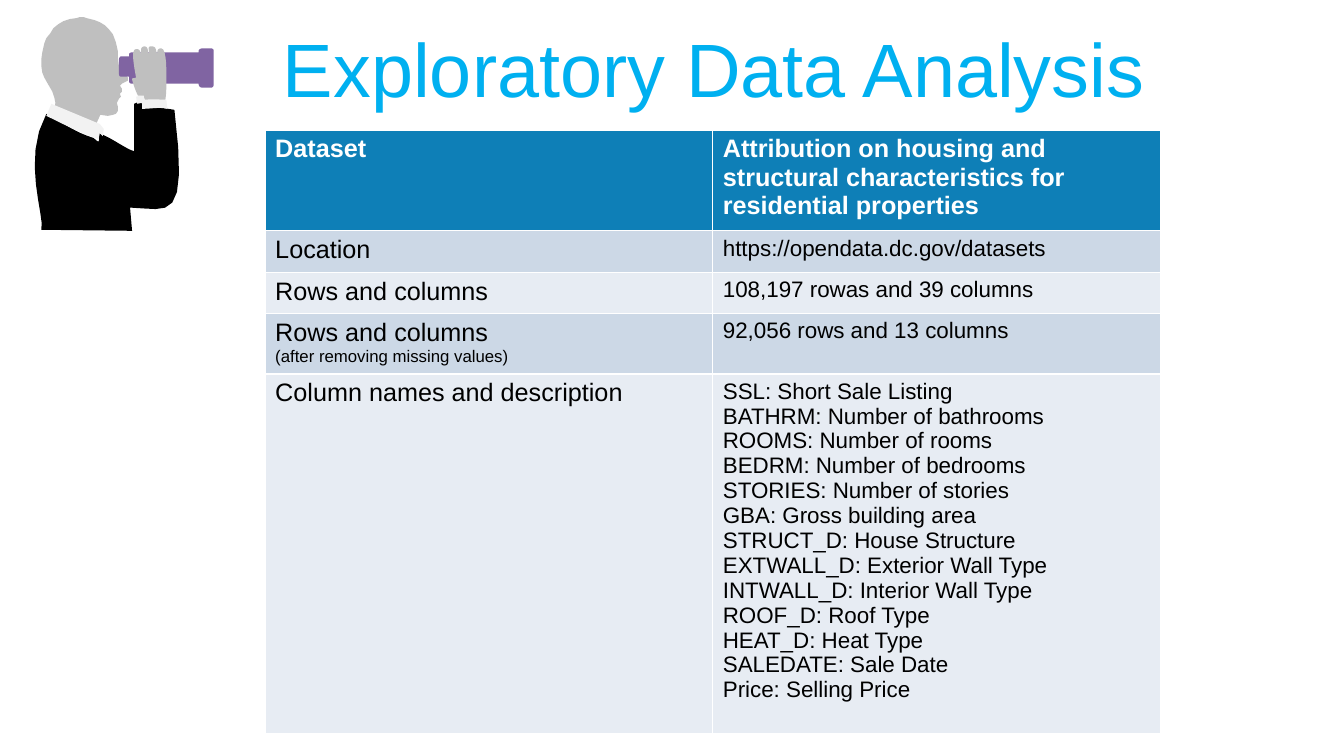
from pptx import Presentation
from pptx import util as u
from pptx.dml.color import RGBColor
from pptx.enum import text

PX = 9144
FONT = "Arial"
SKY = RGBColor(0x00, 0xB0, 0xF0)
BLUE = RGBColor(0x0E, 0x7F, 0xB7)
BAND_DARK = RGBColor(0xCC, 0xD8, 0xE6)
BAND_LIGHT = RGBColor(0xE7, 0xEC, 0xF3)
SKIN = RGBColor(0xBF, 0xBF, 0xBF)
PURPLE = RGBColor(0x80, 0x64, 0xA2)
CLOTH = RGBColor(0xF2, 0xF2, 0xF2)
BLACK = RGBColor(0x00, 0x00, 0x00)
WHITE = RGBColor(0xFF, 0xFF, 0xFF)

HEAD = [
    (48, 0), (51, 1), (59, 3), (64, 5), (69, 8), (73, 12), (77, 17), (80, 25),
    (82, 34), (82, 43), (83, 48), (86, 54), (89, 57), (92, 60), (92, 63),
    (90, 64), (86, 66), (84, 68), (86, 71), (86, 74), (84, 76), (85, 79),
    (83, 81), (81, 85), (82, 89), (82, 93), (80, 96), (77, 97), (72, 98),
    (65, 97), (65, 96), (60, 107), (56, 105), (19, 92), (20, 85), (19, 80),
    (17, 74), (13, 67), (9, 60), (7, 55), (6, 48), (6, 42), (7, 35), (9, 26),
    (11, 21), (15, 16), (18, 11), (23, 7), (28, 4), (34, 2), (41, 1), (44, 0),
]
TELESCOPE = [
    (166, 31), (174, 31), (176, 31, 177, 32, 177, 34), (177, 66),
    (177, 69, 176, 70, 174, 70), (166, 70), (164, 70, 162, 69, 162, 66),
    (96, 66), (94, 66, 93, 65, 93, 63), (93, 59), (85, 59),
    (84, 59, 83, 58, 83, 56), (83, 42), (83, 41, 84, 39, 85, 39), (93, 39),
    (93, 37), (93, 36, 94, 35, 96, 35), (162, 35), (162, 34),
    (162, 32, 164, 31, 166, 31),
]
JACKET = [
    (11, 96), (-14, 141, 10, 198, 6, 211), (96, 212), (94, 189),
    (133, 190, 152, 207, 138, 92), (116, 88, 113, 90, 106, 90),
    (106, 87, 106, 87, 105, 84), (101, 84, 103, 84, 98, 86), (98, 133),
    (90, 131, 78, 121, 63, 115), (63, 122, 65, 127, 58, 120),
    (39, 114, 33, 108, 11, 96),
]
COLLAR = [
    (11, 98), (16, 86), (64, 106), (68, 111), (67, 118), (64, 115), (63, 121),
    (44, 115, 28, 106, 11, 98),
]
CUFF = [
    (101, 86), (100, 79), (109, 77), (109, 79, 110, 80, 110, 82),
    (121, 79, 121, 82, 130, 82), (131, 91), (123, 89, 115, 91, 106, 91),
    (106, 85),
]
HAND = [
    (109, 82), (108, 80, 108, 80, 108, 78), (105, 78, 106, 78, 102, 78),
    (101, 77, 96, 64, 96, 61), (99, 60, 97, 61, 100, 60),
    (98, 49, 95, 34, 99, 32), (103, 31, 104, 33, 105, 37),
    (105, 33, 104, 30, 108, 29), (113, 29, 111, 36, 113, 36),
    (113, 32, 111, 29, 115, 29), (121, 29, 119, 34, 121, 36),
    (121, 34, 121, 31, 125, 31), (131, 31, 130, 59, 130, 64),
    (130, 71, 130, 76, 129, 82), (122, 82, 120, 81, 109, 82),
]
FIGURE_PARTS = [
    (HEAD, SKIN), (TELESCOPE, PURPLE), (JACKET, BLACK),
    (COLLAR, CLOTH), (CUFF, CLOTH), (HAND, SKIN),
]

ROW_HEIGHTS = [93, 41, 41, 57, 331]
ROWS = [
    (["Dataset"], ["Attribution on housing and structural characteristics for residential properties"]),
    (["Location"], ["https://opendata.dc.gov/datasets"]),
    (["Rows and columns"], ["108,197 rowas and 39 columns"]),
    (["Rows and columns", "(after removing missing values)"], ["92,056 rows and 13 columns"]),
    (["Column names and description"], [
        "SSL: Short Sale Listing",
        "BATHRM: Number of bathrooms",
        "ROOMS: Number of rooms",
        "BEDRM: Number of bedrooms",
        "STORIES: Number of stories",
        "GBA: Gross building area",
        "STRUCT_D: House Structure",
        "EXTWALL_D: Exterior Wall Type",
        "INTWALL_D: Interior Wall Type",
        "ROOF_D: Roof Type",
        "HEAT_D: Heat Type",
        "SALEDATE: Sale Date",
        "Price: Selling Price",
    ]),
]


def style_font(font, size, color, bold=False):
    font.name = FONT
    font.size = u.Pt(size)
    font.bold = bold
    font.color.rgb = color


def flatten(outline, steps=8):
    points = [outline[0]]
    for segment in outline[1:]:
        if len(segment) == 2:
            points.append(segment)
            continue
        controls = [points[-1], segment[:2], segment[2:4], segment[4:]]
        for step in range(1, steps + 1):
            t = step / steps
            weights = [(1 - t) ** 3, 3 * t * (1 - t) ** 2, 3 * t * t * (1 - t), t ** 3]
            points.append(tuple(
                sum(weight * control[axis] for weight, control in zip(weights, controls))
                for axis in (0, 1)))
    return points


def add_title(slide, left, top, width, height):
    box = slide.shapes.add_textbox(left * PX, top * PX, width * PX, height * PX)
    frame = box.text_frame
    frame.word_wrap = True
    frame.vertical_anchor = text.MSO_ANCHOR.MIDDLE
    paragraph = frame.paragraphs[0]
    paragraph.text = "Exploratory Data Analysis"
    paragraph.alignment = text.PP_ALIGN.CENTER
    paragraph.line_spacing = 0.9
    style_font(paragraph.font, 54, SKY)


def add_observer(slide, left, top):
    group = slide.shapes.add_group_shape()
    for outline, color in FIGURE_PARTS:
        points = [((left + x) * PX, (top + y) * PX) for x, y in flatten(outline)]
        builder = group.shapes.build_freeform(*points[0])
        builder.add_line_segments(points[1:], close=True)
        shape = builder.convert_to_shape()
        shape.shadow.inherit = False
        shape.fill.solid()
        shape.fill.fore_color.rgb = color
        shape.line.fill.background()


def fill_cell(cell, lines, row, column):
    header = row == 0
    cell.fill.solid()
    cell.fill.fore_color.rgb = BLUE if header else (BAND_LIGHT, BAND_DARK)[row % 2]
    cell.text = "\n".join(lines)
    for index, paragraph in enumerate(cell.text_frame.paragraphs):
        if header:
            style_font(paragraph.font, 18, WHITE, True)
        elif column == 1:
            style_font(paragraph.font, 16, BLACK)
        else:
            style_font(paragraph.font, 12 if index else 18, BLACK)


def add_dataset_table(slide, left, top, width):
    frame = slide.shapes.add_table(
        len(ROWS), 2, left * PX, top * PX, width * PX, sum(ROW_HEIGHTS) * PX)
    table = frame.table
    for row, (cells, height) in enumerate(zip(ROWS, ROW_HEIGHTS)):
        table.rows[row].height = height * PX
        for column, lines in enumerate(cells):
            fill_cell(table.cell(row, column), lines, row, column)


def main():
    presentation = Presentation()
    presentation.slide_width = 1333 * PX
    presentation.slide_height = 750 * PX
    slide = presentation.slides.add_slide(presentation.slide_layouts[6])
    add_title(slide, 75, 33, 1266, 79)
    add_observer(slide, 35, 17)
    add_dataset_table(slide, 263, 129, 888)
    presentation.save("out.pptx")


if __name__ == "__main__":
    main()
